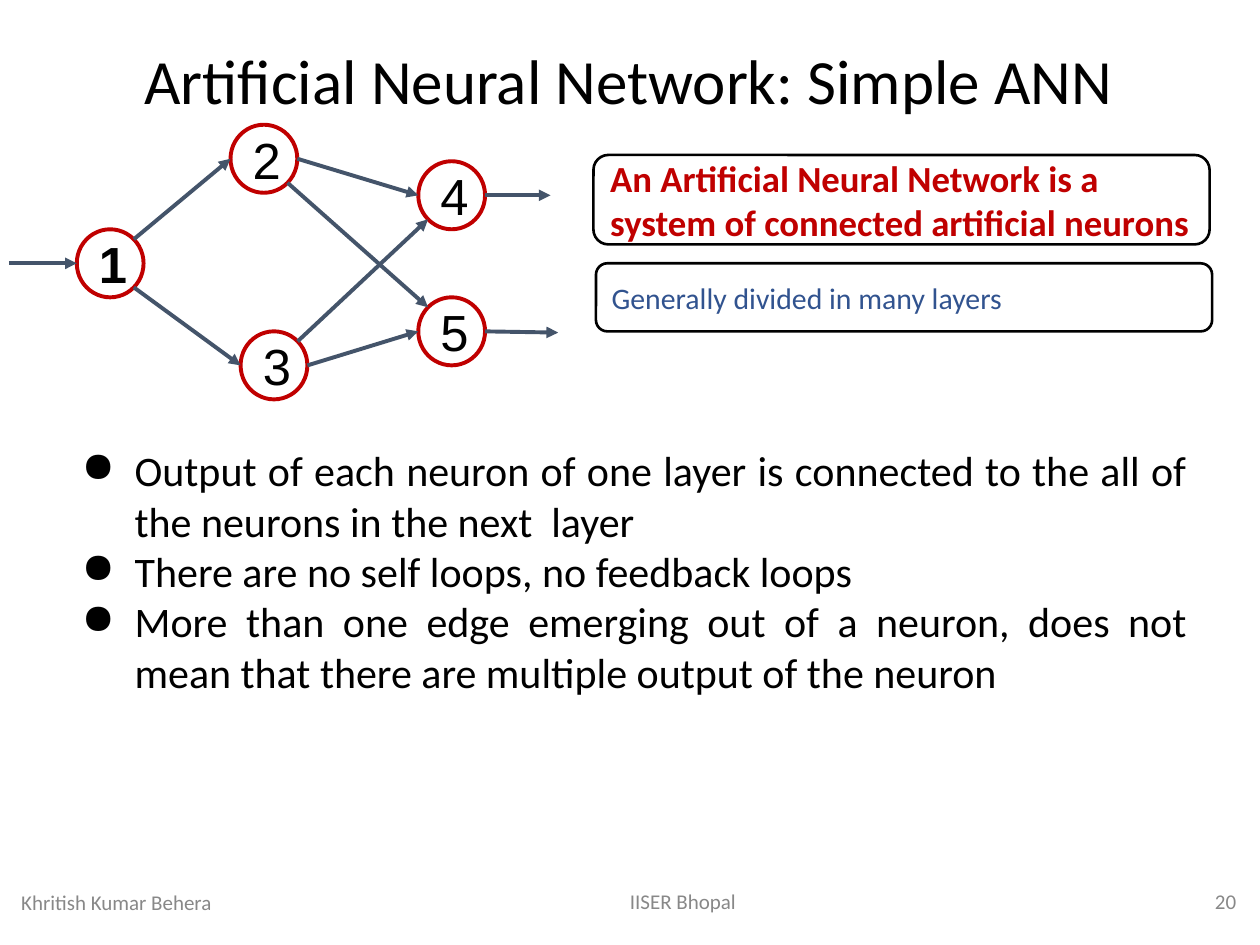
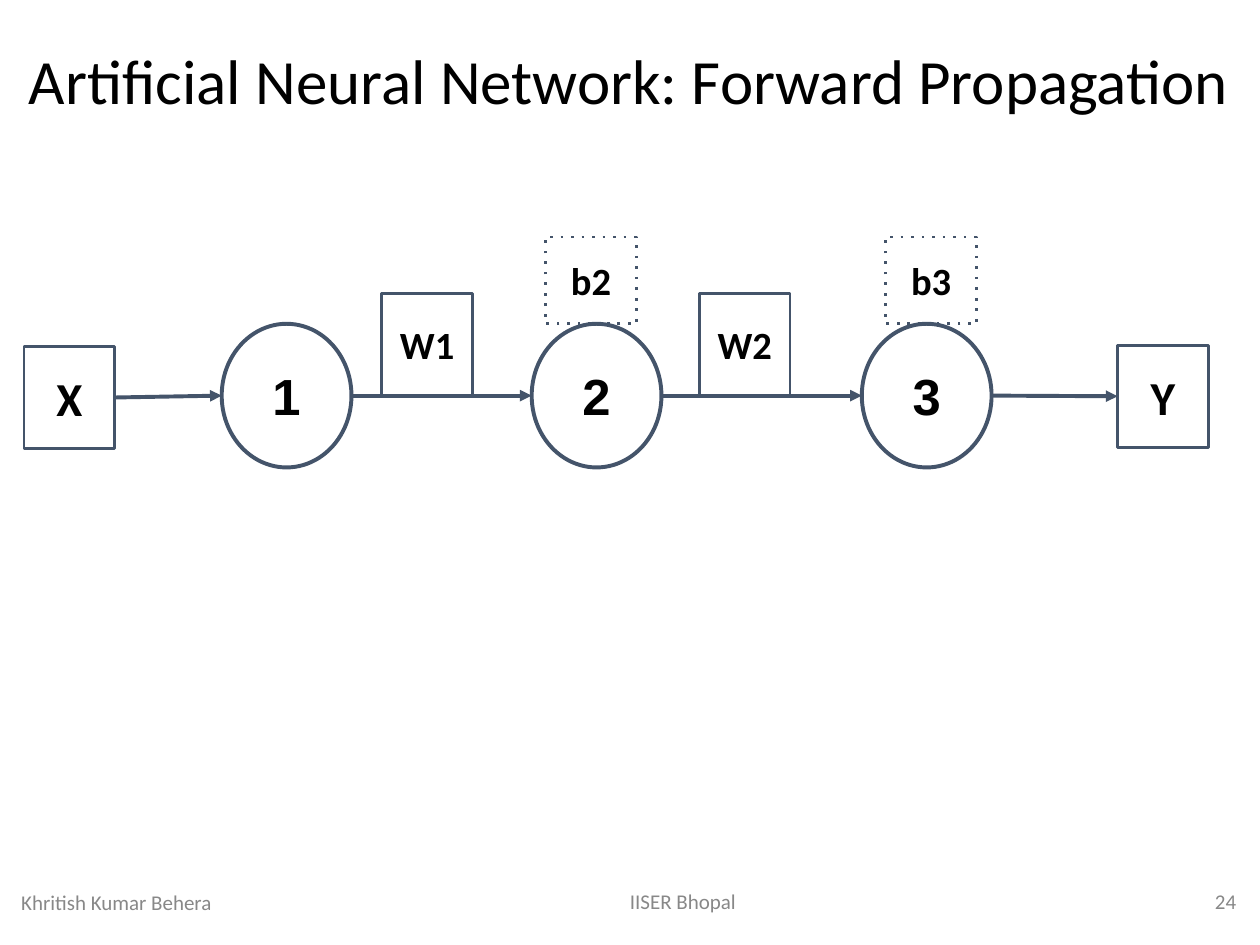
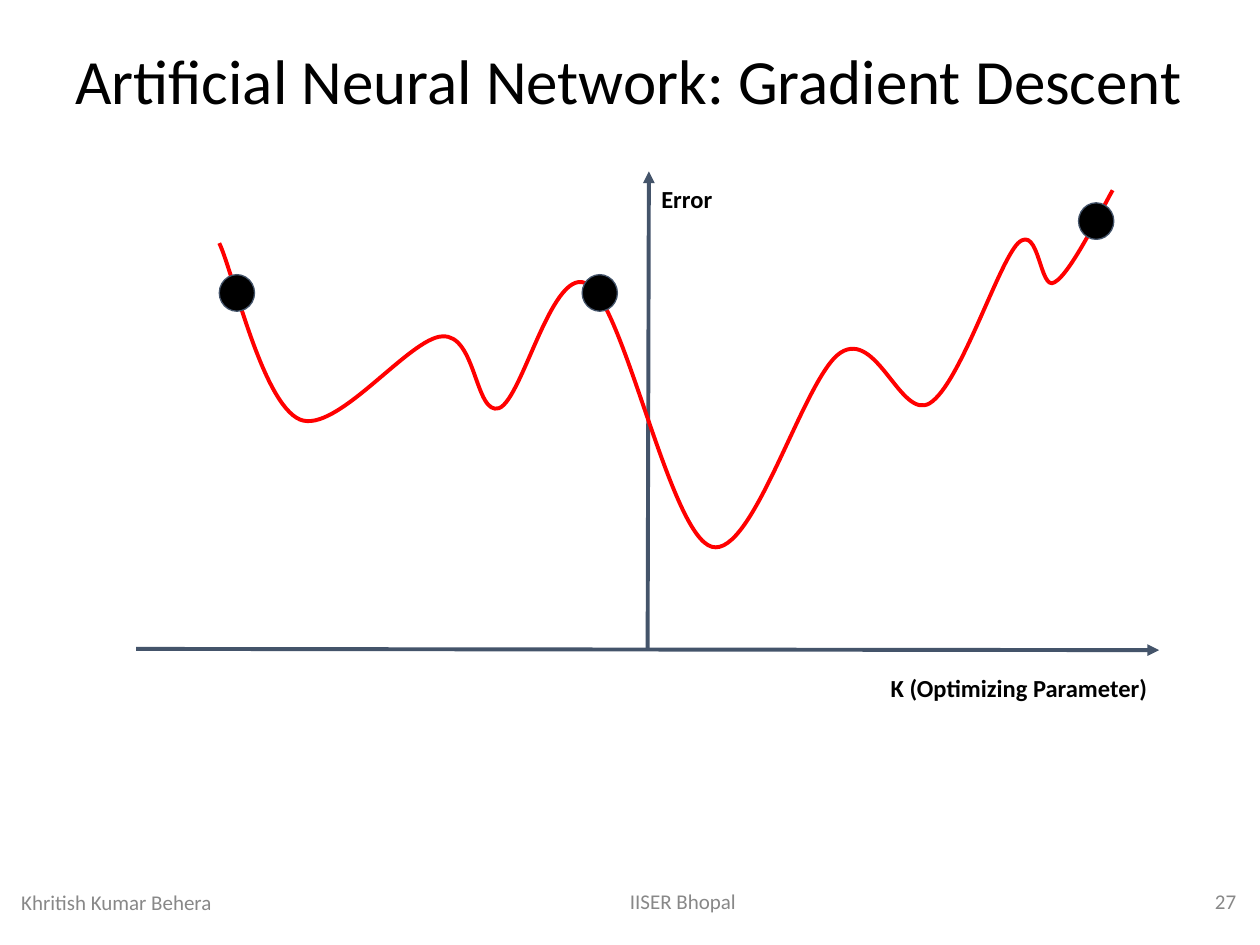
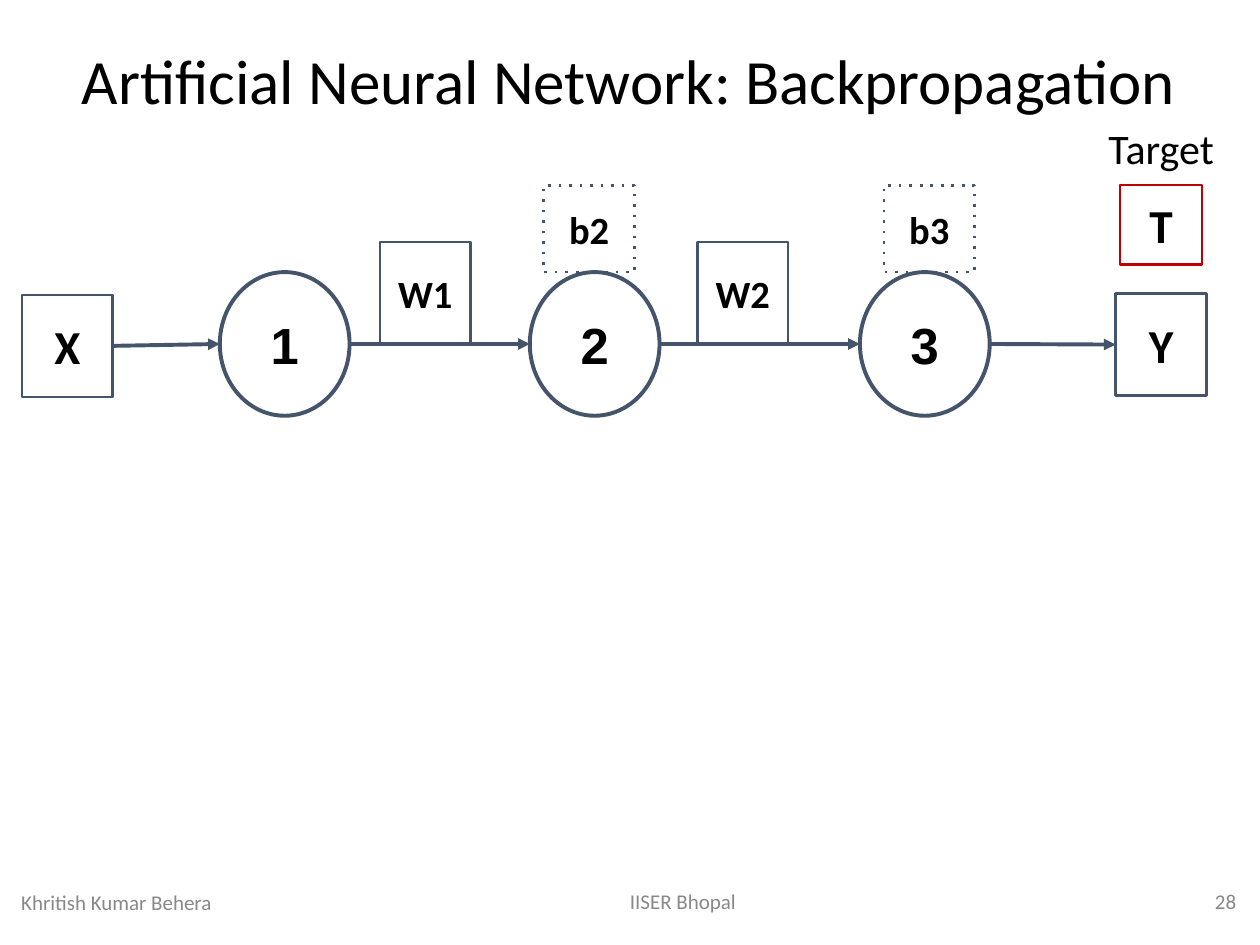
from dataclasses import dataclass
from math import sqrt

from lxml.etree import SubElement
from pptx import Presentation
from pptx.dml.color import RGBColor
from pptx.enum.shapes import MSO_CONNECTOR, MSO_SHAPE
from pptx.enum.text import MSO_ANCHOR, MSO_AUTO_SIZE, PP_ALIGN
from pptx.oxml.ns import qn
from pptx.util import Inches, Pt


@dataclass(frozen=True)
class Theme:
    black: str = "000000"
    white: str = "FFFFFF"
    slate: str = "44546A"
    crimson: str = "C00000"
    red: str = "FF0000"
    blue: str = "31538F"
    gray: str = "888888"
    body_font: str = "Calibri"
    node_font: str = "Arial"
    title: int = 36
    node: int = 29
    terminal: int = 27
    body: int = 24
    weight: int = 22
    lead: int = 21
    note: int = 17
    axis: int = 14
    footer: int = 12
    thick: float = 2.25
    medium: float = 1.5
    thin: float = 0.75


THEME = Theme()
COLS, ROWS = 100, 75
WIDTH, HEIGHT = Inches(10), Inches(7.5)
AUTHOR, VENUE = "Khritish Kumar Behera", "IISER Bhopal"


def col(n):
    return round(WIDTH * n / COLS)


def row(n):
    return round(HEIGHT * n / ROWS)


def place(box):
    left, top, width, height = box
    return col(left), row(top), col(width), row(height)


def rgb(value):
    return RGBColor.from_string(value)


def assign(target, values):
    for name, value in values.items():
        setattr(target, name, value)


def style(size, color=THEME.black, bold=False, font=THEME.body_font):
    return {"size": Pt(size), "name": font, "bold": bold}, color


def write(shape, lines, text_style, align=PP_ALIGN.CENTER, anchor=MSO_ANCHOR.MIDDLE,
          pad=1, grow=False, bullet=None):
    font, color = text_style
    tf = shape.text_frame
    assign(tf, {
        "word_wrap": True,
        "vertical_anchor": anchor,
        "auto_size": MSO_AUTO_SIZE.SHAPE_TO_FIT_TEXT if grow else MSO_AUTO_SIZE.NONE,
        "margin_left": col(1),
        "margin_right": col(1),
        "margin_top": row(pad),
        "margin_bottom": row(pad),
    })
    for i, line in enumerate(lines):
        p = tf.add_paragraph() if i else tf.paragraphs[0]
        p.alignment = align
        if bullet:
            add_bullet(p, bullet)
        r = p.add_run()
        r.text = line
        assign(r.font, font)
        r.font.color.rgb = rgb(color)


def add_bullet(p, mark):
    pPr = p._p.get_or_add_pPr()
    pPr.set("marL", str(col(5)))
    pPr.set("indent", str(col(-4.2)))
    SubElement(pPr, qn("a:buChar"), char=mark)


def add_text(s, box, text, text_style, **options):
    sp = s.shapes.add_textbox(*place(box))
    write(sp, [text] if isinstance(text, str) else text, text_style, **options)


def set_line(shape, color, width, **parts):
    shape.line.color.rgb = rgb(color)
    shape.line.width = Pt(width)
    ln = shape.element.xpath("p:spPr/a:ln")[0]
    for tag, kind in parts.items():
        SubElement(ln, qn(f"a:{tag}"), {"val" if tag == "prstDash" else "type": kind})


def set_fill(shape, color):
    if color:
        shape.fill.solid()
        shape.fill.fore_color.rgb = rgb(color)
    else:
        shape.fill.background()


def add_box(s, kind, box, color, width, fill=None, text=None, text_style=None,
            align=PP_ALIGN.CENTER, **line_parts):
    sp = s.shapes.add_shape(kind, *place(box))
    sp.shadow.inherit = False
    set_fill(sp, fill)
    set_line(sp, color, width, **line_parts)
    if text:
        write(sp, [text], text_style, align=align)


def add_arrow(s, start, end):
    (x1, y1), (x2, y2) = start, end
    cx = s.shapes.add_connector(MSO_CONNECTOR.STRAIGHT, col(x1), row(y1), col(x2), row(y2))
    set_line(cx, THEME.slate, THEME.thick, tailEnd="triangle")
    SubElement(cx.element.spPr, qn("a:effectLst"))


def add_curve(s, points, color):
    scaled = [(col(x), row(y)) for x, y in points]
    builder = s.shapes.build_freeform(*scaled[0])
    builder.add_line_segments(scaled[1:], close=False)
    sp = builder.convert_to_shape()
    segments = sp.element.xpath(".//a:lnTo")
    for i in range(0, len(segments), 3):
        bezier = SubElement(segments[i].getparent(), qn("a:cubicBezTo"))
        for segment in segments[i:i + 3]:
            bezier.append(segment[0])
            segment.getparent().remove(segment)
    sp.shadow.inherit = False
    set_fill(sp, None)
    set_line(sp, color, THEME.thick)


def port(box, dx, dy=0):
    left, top, width, height = box
    reach = sqrt(0.5) if dy else 1
    return left + width / 2 * (1 + dx * reach), top + height / 2 * (1 + dy * reach)


def new_slide(prs, topic, number):
    s = prs.slides.add_slide(prs.slide_layouts[6])
    add_text(s, (0.7, 2.8, 98.4, 7.1), f"Artificial Neural Network: {topic}",
             style(THEME.title), anchor=MSO_ANCHOR.TOP, pad=0.5, grow=True)
    footers = [
        ((37.3, 69.5, 33.8, 4), VENUE, PP_ALIGN.CENTER),
        ((76.6, 69.5, 22.5, 4), str(number), PP_ALIGN.RIGHT),
        ((0.7, 69.6, 33.8, 4), AUTHOR, PP_ALIGN.LEFT),
    ]
    for box, text, align in footers:
        add_text(s, box, text, style(THEME.footer, THEME.gray), align=align, pad=0.5)
    return s


def add_network(s):
    corners = {1: (6.1, 18.2), 2: (18.3, 9.9), 3: (19.1, 26.3), 4: (33.2, 12.8), 5: (33.2, 23.6)}
    neurons = {n: (x, y, 5.3, 5.4) for n, (x, y) in corners.items()}
    for n, box in neurons.items():
        add_box(s, MSO_SHAPE.OVAL, box, THEME.crimson, THEME.thick, text=str(n),
                text_style=style(THEME.node, bold=n == 1, font=THEME.node_font))
    edges = [(1, -1, 2, 0), (1, 1, 3, 0), (2, 1, 5, -1), (2, 0, 4, 0), (3, -1, 4, 1), (3, 0, 5, 0)]
    for source, out_dy, target, in_dy in edges:
        add_arrow(s, port(neurons[source], 1, out_dy), port(neurons[target], -1, in_dy))
    add_arrow(s, (0.7, 20.9), port(neurons[1], -1))
    add_arrow(s, port(neurons[4], 1), (43.7, 15.5))
    add_arrow(s, port(neurons[5], 1), (44.3, 26.4))


def add_chain(s, left, axis):
    def cell(x, dy, width, height):
        return left + x, axis + dy, width, height

    neurons = [cell(x, -5.7, 10.3, 11.4) for x in (15.7, 40.3, 66.5)]
    source, target = cell(0, -3.9, 7.2, 8.1), cell(86.8, -4, 7.2, 8.1)
    for n, box in enumerate(neurons, 1):
        add_box(s, MSO_SHAPE.OVAL, box, THEME.slate, THEME.thick, text=str(n),
                text_style=style(THEME.node, bold=True, font=THEME.node_font))
    stops = [source, *neurons, target]
    for start, end in zip(stops, stops[1:]):
        add_arrow(s, port(start, 1), port(end, -1))
    for text, box in (("X", source), ("Y", target)):
        add_box(s, MSO_SHAPE.RECTANGLE, box, THEME.slate, THEME.medium, text=text,
                text_style=style(THEME.terminal, bold=True))
    for text, x in (("W1", 28.4), ("W2", 53.6)):
        add_box(s, MSO_SHAPE.RECTANGLE, cell(x, -8.1, 7.2, 8.1), THEME.slate, THEME.medium,
                text=text, text_style=style(THEME.weight, bold=True))
    for text, x in (("b2", 41.4), ("b3", 68.4)):
        add_box(s, MSO_SHAPE.RECTANGLE, cell(x, -12.6, 7.2, 6.9), THEME.slate, THEME.medium,
                text=text, text_style=style(THEME.weight, bold=True), prstDash="dot")


def simple_ann(prs):
    s = new_slide(prs, "Simple ANN", 20)
    add_network(s)
    callouts = [
        ((47.1, 12.3, 48.9, 7.1),
         "An Artificial Neural Network is a system of connected artificial neurons",
         style(THEME.lead, THEME.crimson, bold=True)),
        ((47.3, 20.9, 48.9, 5.4), "Generally divided in many layers",
         style(THEME.note, THEME.blue)),
    ]
    for box, text, text_style in callouts:
        add_box(s, MSO_SHAPE.ROUNDED_RECTANGLE, box, THEME.black, THEME.medium, THEME.white,
                text, text_style, PP_ALIGN.LEFT)
    add_text(s, (4.7, 33.1, 90.5, 24.4), [
        "Output of each neuron of one layer is connected to the all of the neurons in the next  layer",
        "There are no self loops, no feedback loops",
        "More than one edge emerging out of a neuron, does not mean that there are multiple output of the neuron",
    ], style(THEME.body), align=PP_ALIGN.JUSTIFY, bullet="●")


def forward_propagation(prs):
    add_chain(new_slide(prs, "Forward Propagation", 24), 1.9, 31.4)


def gradient_descent(prs):
    s = new_slide(prs, "Gradient Descent", 27)
    add_arrow(s, (10.8, 51.5), (92, 51.6))
    add_arrow(s, (51.4, 51.5), (51.5, 13.6))
    labels = [
        ((51.5, 13.6, 6.5, 4.4), "Error"),
        ((69.7, 52.4, 22.5, 4.4), "K (Optimizing Parameter)"),
    ]
    for box, text in labels:
        add_text(s, box, text, style(THEME.axis, bold=True), align=PP_ALIGN.LEFT,
                 anchor=MSO_ANCHOR.TOP, grow=True)
    add_curve(s, [
        (17.4, 19.3),
        (18.5, 21.6), (20.8, 32), (23.8, 33.3),
        (26.7, 34.5), (32.5, 26.8), (35.1, 26.7),
        (37.8, 26.5), (37.7, 33), (39.6, 32.4),
        (41.5, 31.7), (43.9, 20.7), (46.7, 22.6),
        (49.6, 24.4), (53.2, 42.5), (56.5, 43.4),
        (59.8, 44.3), (63.8, 29.9), (66.7, 28),
        (69.6, 26.1), (71.5, 33.4), (73.8, 32),
        (76.2, 30.5), (79.2, 20.9), (80.8, 19.3),
        (82.5, 17.7), (82.5, 23.2), (83.7, 22.4),
        (85, 21.7), (87.6, 16.3), (88.3, 15.1),
    ], THEME.red)
    for x, y in ((17.4, 21.8), (46.2, 21.8), (85.6, 16.1)):
        add_box(s, MSO_SHAPE.OVAL, (x, y, 2.8, 2.9), THEME.slate, THEME.thin, THEME.black)


def backpropagation(prs):
    s = new_slide(prs, "Backpropagation", 28)
    add_chain(s, 1.75, 27.3)
    add_box(s, MSO_SHAPE.RECTANGLE, (88.9, 14.7, 6.5, 6.3), THEME.crimson, THEME.medium,
            text="T", text_style=style(THEME.terminal, bold=True))
    add_text(s, (84.2, 8.7, 15.9, 6.1), "Target", style(THEME.body),
             anchor=MSO_ANCHOR.TOP, grow=True)


def main():
    prs = Presentation()
    assign(prs, {"slide_width": WIDTH, "slide_height": HEIGHT})
    for build in (simple_ann, forward_propagation, gradient_descent, backpropagation):
        build(prs)
    prs.save("out.pptx")


if __name__ == "__main__":
    main()
